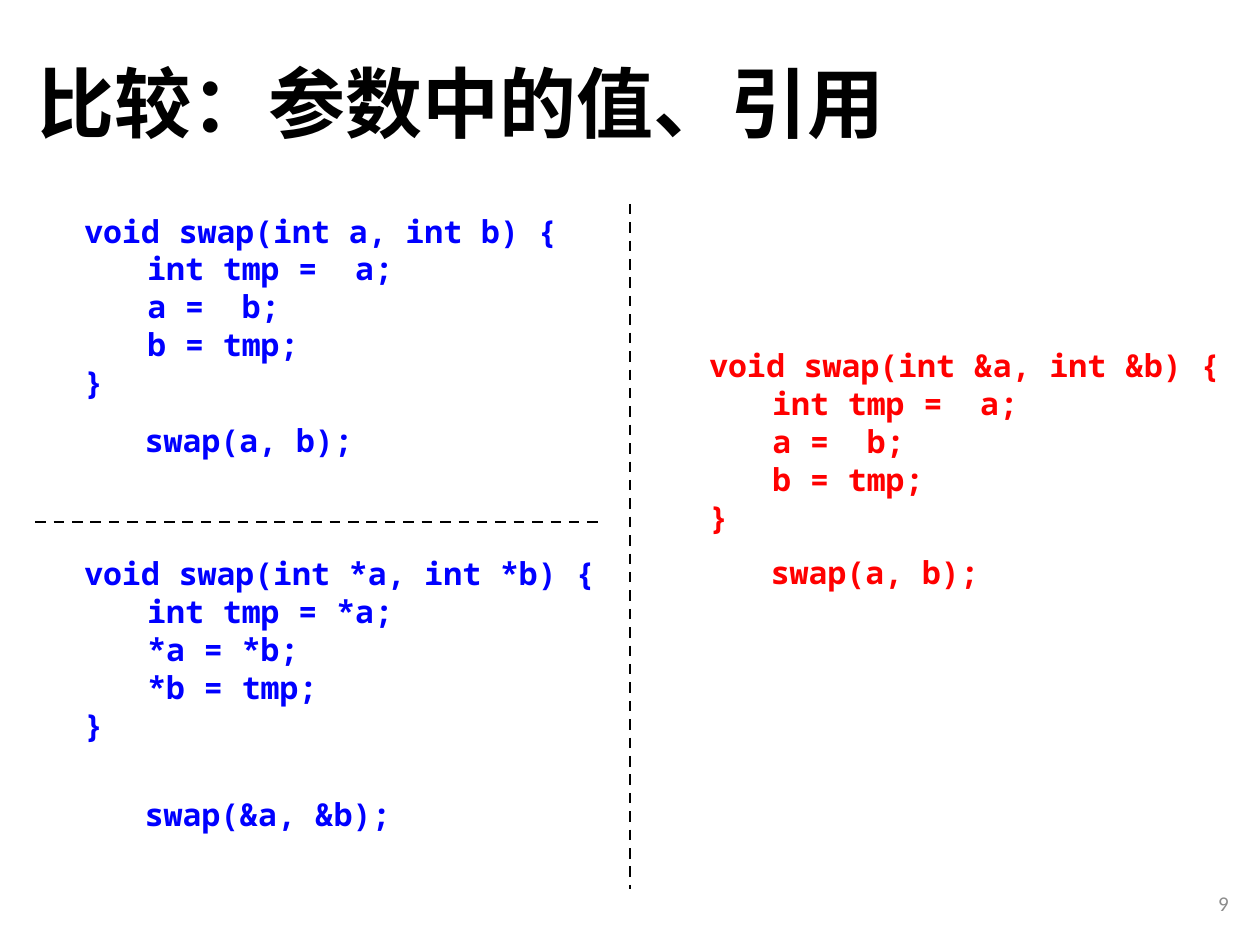
"""Build a slide comparing value, pointer and reference parameters of swap."""
from dataclasses import dataclass

import pptx
import pptx.dml.color
import pptx.enum.dml
import pptx.enum.shapes
import pptx.enum.text
import pptx.oxml.ns
import pptx.util
from lxml import etree
from pptx.util import Cm

ALIGN = pptx.enum.text.PP_ALIGN
ANCHOR = pptx.enum.text.MSO_ANCHOR
qn = pptx.oxml.ns.qn


@dataclass(frozen=True)
class Theme:
    ink: str = "000000"
    muted: str = "8C8C8C"
    plain: str = "0000FF"
    reference: str = "FF0000"
    title_font: str = "Noto Sans CJK SC"
    code_font: str = "Noto Sans Mono"
    number_font: str = "Calibri"
    title_size: int = 44
    code_size: int = 18
    number_size: int = 12
    rule_width: float = 1.5


class SlideBuilder:
    def __init__(self, slide, theme):
        self.slide = slide
        self.theme = theme

    def text(self, box, lines, font, size, color, bold=False, anchor=ANCHOR.TOP, **paragraph_format):
        frame = self.slide.shapes.add_textbox(*map(Cm, box)).text_frame
        for name, value in {"word_wrap": True, "vertical_anchor": anchor}.items():
            setattr(frame, name, value)
        for index, line in enumerate(lines):
            paragraph = frame.add_paragraph() if index else frame.paragraphs[0]
            for name, value in paragraph_format.items():
                setattr(paragraph, name, value)
            run = paragraph.add_run()
            run.text = line
            for name, value in {"name": font, "size": pptx.util.Pt(size), "bold": bold}.items():
                setattr(run.font, name, value)
            run.font.color.rgb = pptx.dml.color.RGBColor.from_string(color)
            etree.SubElement(run.font._element, qn("a:ea")).set("typeface", font)
        return frame

    def title(self, box, wording):
        style = self.theme
        self.text(box, [wording], style.title_font, style.title_size, style.ink,
                  bold=True, anchor=ANCHOR.MIDDLE, line_spacing=0.9)

    def page_number(self, box, number):
        style = self.theme
        self.text(box, [number], style.number_font, style.number_size, style.muted,
                  anchor=ANCHOR.MIDDLE, alignment=ALIGN.RIGHT)

    def code(self, box, lines, color):
        style = self.theme
        frame = self.text(box, lines, style.code_font, style.code_size, color, bold=True)
        for paragraph in frame.paragraphs:
            stops = etree.SubElement(paragraph._p.get_or_add_pPr(), qn("a:tabLst"))
            stop = etree.SubElement(stops, qn("a:tab"))
            stop.set("pos", str(Cm(1.27)))
            stop.set("algn", "l")

    def divider(self, *ends):
        rule = self.slide.shapes.add_connector(
            pptx.enum.shapes.MSO_CONNECTOR.STRAIGHT, *map(Cm, ends))
        rule.line.color.rgb = pptx.dml.color.RGBColor.from_string(self.theme.ink)
        line_format = {"width": pptx.util.Pt(self.theme.rule_width),
                       "dash_style": pptx.enum.dml.MSO_LINE.DASH}
        for name, value in line_format.items():
            setattr(rule.line, name, value)
        etree.SubElement(rule._element.spPr, qn("a:effectLst"))


def swap_definition(parameter, value):
    return [f"void swap(int {parameter}a, int {parameter}b) {{",
            f"\tint tmp = {value}a;",
            f"\t{value.strip()}a = {value}b;",
            f"\t{value.strip()}b = tmp;",
            "}"]


theme = Theme()
deck = pptx.Presentation()
deck.slide_width, deck.slide_height = Cm(25.4), Cm(19.05)
builder = SlideBuilder(deck.slides.add_slide(deck.slide_layouts[6]), theme)

builder.title((0.51, 0.33, 21.89, 3.68), "比较：参数中的值、引用")
builder.page_number((19.3, 17.7, 5.72, 1.02), "9")
builder.divider(12.7, 4.11, 12.7, 17.93)
builder.divider(0.71, 10.52, 12.19, 10.52)

variants = [
    ("", " ", "swap(a, b);", theme.plain, (1.45, 4.14, 10.2), (2.67, 8.36, 5.64)),
    ("*", "*", "swap(&a, &b);", theme.plain, (1.45, 11.05, 11.25), (2.67, 15.9, 6.55)),
    ("&", " ", "swap(a, b);", theme.reference, (14.05, 6.86, 10.97), (15.29, 11.02, 6.1)),
]
for parameter, value, call, color, definition_box, call_box in variants:
    builder.code((*definition_box, 4.11), swap_definition(parameter, value), color)
    builder.code((*call_box, 1.02), [call], color)

deck.save("out.pptx")
